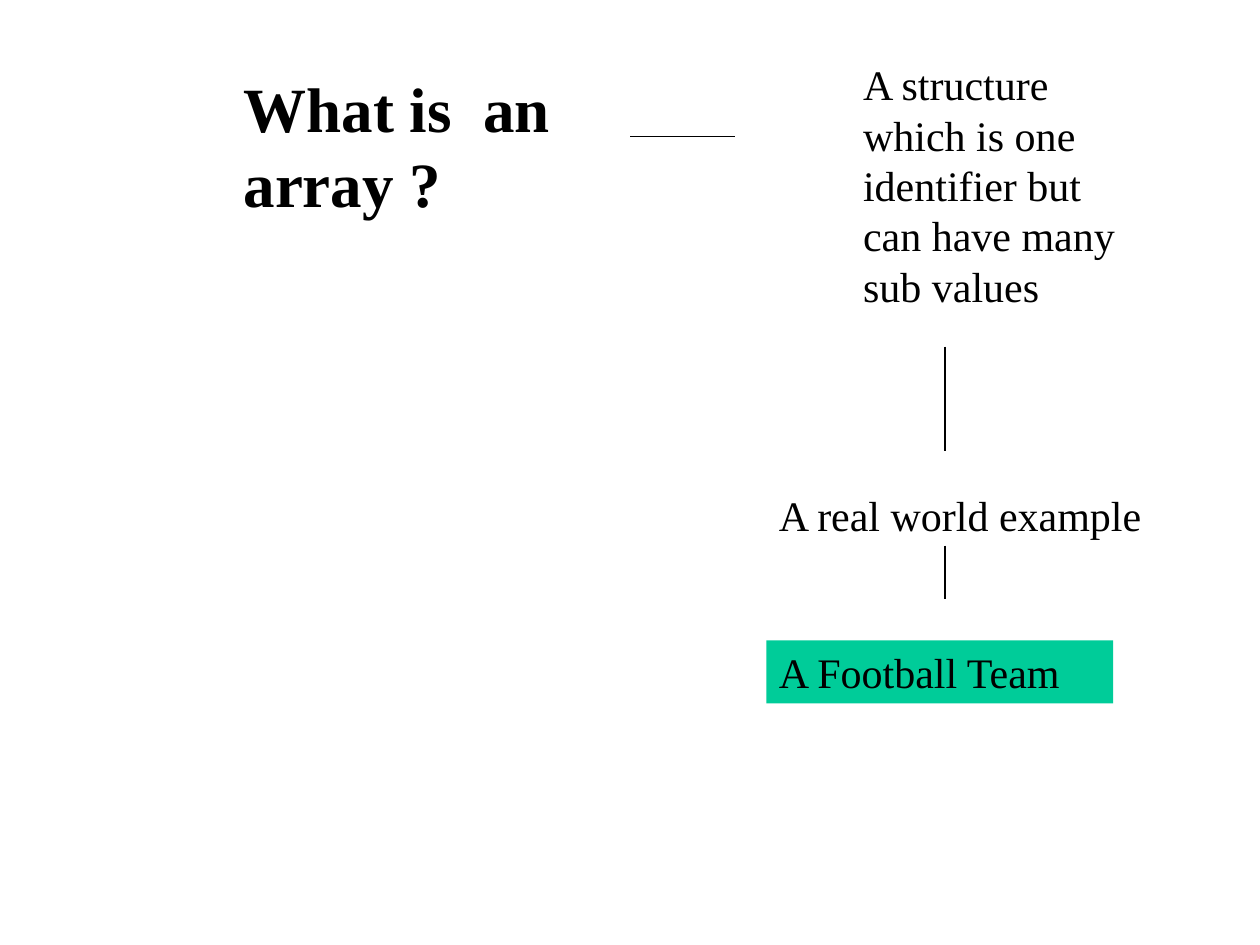
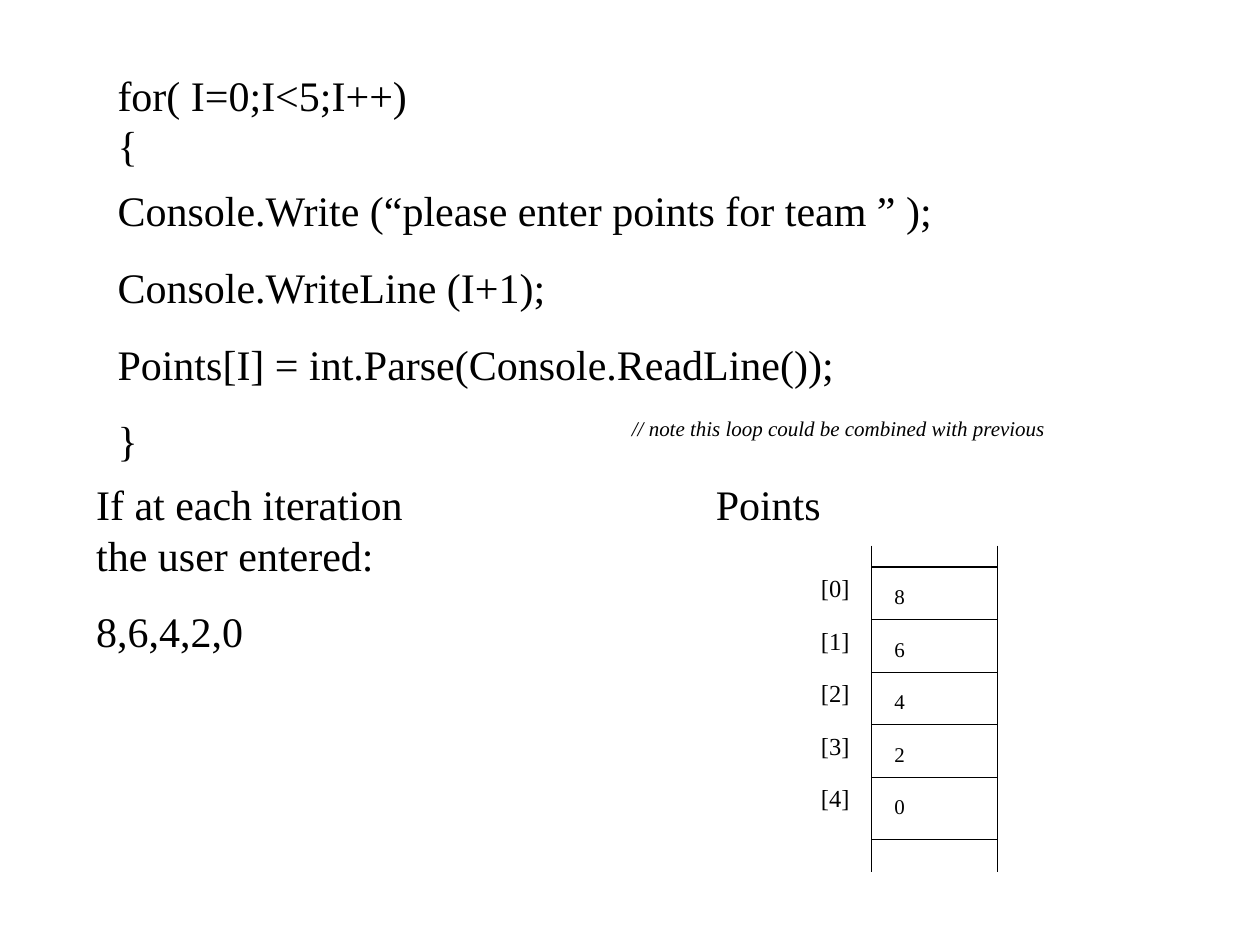
import pptx
import pptx.dml.color
import pptx.enum.shapes
import pptx.enum.text
import pptx.oxml.ns
import lxml.etree
from dataclasses import dataclass
from pptx.util import Cm, Pt


@dataclass(frozen=True)
class Theme:
    font: str = "Times New Roman"
    ink: pptx.dml.color.RGBColor = pptx.dml.color.RGBColor(0, 0, 0)
    green: pptx.dml.color.RGBColor = pptx.dml.color.RGBColor(0, 0xCC, 0x99)
    title: int = 36
    body: int = 24
    label: int = 14
    small: int = 12
    lead: float = 0.625  # space before a paragraph, as a share of its size
    rule: float = 0.75


theme = Theme()


def write(slide, place, lines, size=theme.body, bold=False, italic=False, fill=None):
    """Put lines of text at place (left, top, width, height in cm), one paragraph each."""
    area = [Cm(n) for n in place]
    if fill is None:
        box = slide.shapes.add_textbox(*area)
    else:
        box = slide.shapes.add_shape(pptx.enum.shapes.MSO_SHAPE.RECTANGLE, *area)
        box.shadow.inherit = False
        box.fill.solid()
        box.fill.fore_color.rgb = fill
        box.line.fill.background()
    frame = box.text_frame
    frame.word_wrap = True
    frame.auto_size = pptx.enum.text.MSO_AUTO_SIZE.SHAPE_TO_FIT_TEXT
    frame.vertical_anchor = pptx.enum.text.MSO_ANCHOR.TOP
    frame.text = "\n".join(lines)
    for para in frame.paragraphs:
        para.alignment = pptx.enum.text.PP_ALIGN.LEFT
        para.space_before = Pt(size * theme.lead)
        para.font.name = theme.font
        para.font.size = Pt(size)
        para.font.bold = bold
        para.font.italic = italic
        para.font.color.rgb = theme.ink


def draw(slide, *ends):
    """Draw a thin straight line between ends (x1, y1, x2, y2 in cm)."""
    line = slide.shapes.add_connector(
        pptx.enum.shapes.MSO_CONNECTOR.STRAIGHT, *[Cm(n) for n in ends])
    line.line.color.rgb = theme.ink
    line.line.width = Pt(theme.rule)
    props = line._element.spPr
    lxml.etree.SubElement(props, pptx.oxml.ns.qn("a:effectLst"))


deck = pptx.Presentation()
deck.slide_width = Cm(25.4)
deck.slide_height = Cm(19.05)
blank = deck.slide_layouts[6]

# Slide 1: what an array is
slide = deck.slides.add_slide(blank)
write(slide, (4.66, 1.27, 7.41, 3.3), ["What is  an array ?"], theme.title, bold=True)
write(slide, (15.45, 12.91, 6.99, 1.27), ["A Football Team"], fill=theme.green)
write(slide, (17.15, 1.06, 5.93, 5.33),
      ["A structure which is one identifier but can have many sub values"])
write(slide, (15.45, 9.74, 8.26, 1.27), ["A real world example"])
draw(slide, 12.7, 2.75, 14.82, 2.75)
stem = 19.05
for top, end in ((6.99, 9.1), (11, 12.07)):
    draw(slide, stem, top, stem, end)

# Slide 2: filling the array in a loop
slide = deck.slides.add_slide(blank)
write(slide, (2.12, 1.27, 6.99, 2.29), ["for( I=0;I<5;I++)  {"])
write(slide, (2.12, 3.6, 22.01, 5.93), [
    "Console.Write (“please enter points for team ” );",
    "Console.WriteLine (I+1);",
    "Points[I] = int.Parse(Console.ReadLine());",
    "}",
])
write(slide, (12.49, 8.26, 10.16, 0.76),
      ["// note this loop could be combined with previous"], theme.small, italic=True)
write(slide, (1.69, 9.53, 7.2, 3.84),
      ["If at each iteration the user entered:", "8,6,4,2,0"])
write(slide, (14.18, 9.53, 3.39, 1.27), ["Points"])

left, right = 17.57, 20.11
first, step, last = 11.43, 1.06, 16.93
for side in (left, right):
    draw(slide, side, 11, side, 17.57)
for slot, points in enumerate((8, 6, 4, 2, 0)):
    top = first + slot * step
    draw(slide, left, top, right, top)
    write(slide, (16.3, top, 1.27, 0.86), [f"[{slot}]"], theme.label)
    write(slide, (17.78, top + 0.21, 2.12, 0.76), [str(points)], theme.small)
draw(slide, left, last, right, last)

deck.save("out.pptx")
